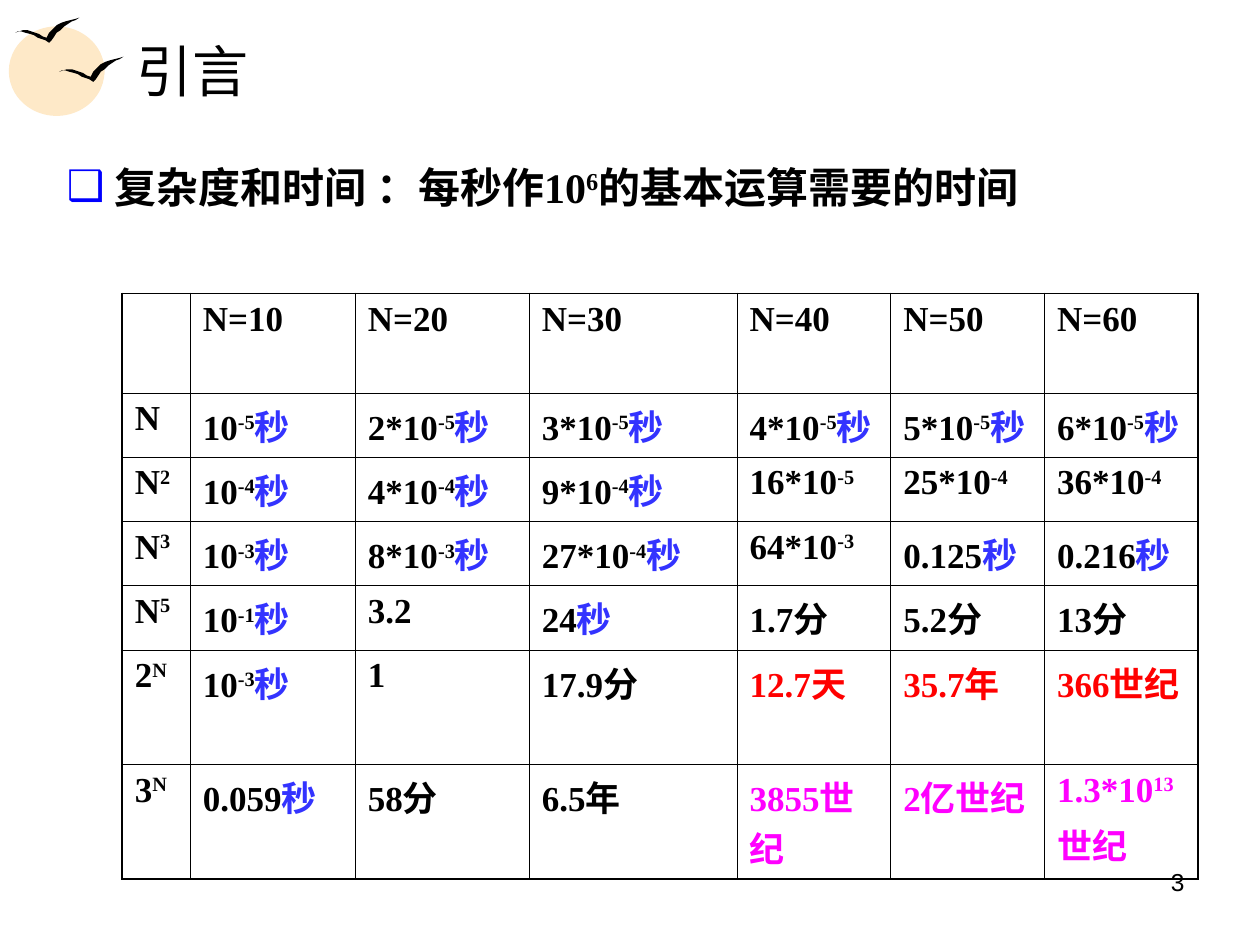
from pptx import Presentation
from pptx.dml.color import RGBColor
from pptx.enum.shapes import MSO_SHAPE
from pptx.enum.text import MSO_ANCHOR, MSO_AUTO_SIZE, PP_ALIGN
from pptx.oxml import parse_xml
from pptx.oxml.ns import nsdecls
from pptx.util import Inches, Pt

OVAL = MSO_SHAPE.OVAL
LEFT, RIGHT = PP_ALIGN.LEFT, PP_ALIGN.RIGHT
TOP, MIDDLE = MSO_ANCHOR.TOP, MSO_ANCHOR.MIDDLE
FIXED = MSO_AUTO_SIZE.NONE
COLORS = {"ink": "000000", "sun": "FEE9C8", "bullet": "0000FF",
          "second": "3333FF", "red": "FF0000", "pink": "FF00FF"}
SERIF = "Times New Roman"
HEAD = {"name": SERIF, "size": Pt(32), "bold": False}
LEAD = {"name": SERIF, "size": Pt(24), "bold": True}
CELL = {"name": SERIF, "size": Pt(20), "bold": True}
PAGE = {"name": "Arial", "size": Pt(14), "bold": False}


def write(para, text, form, color="ink"):
    """Add runs to a paragraph; text between carets is superscript."""
    for i, part in enumerate(text.split("^")):
        if not part:
            continue
        run = para.add_run()
        run.text = part
        for key, value in form.items():
            setattr(run.font, key, value)
        run.font.color.rgb = RGBColor.from_string(COLORS[color])
        if i % 2:
            run.font._element.set("baseline", "30000")


def paint(shape, color):
    shape.shadow.inherit = False
    shape.fill.solid()
    shape.fill.fore_color.rgb = RGBColor.from_string(COLORS[color])
    shape.line.fill.background()


deck = Presentation()
deck.slide_width, deck.slide_height = Inches(10), Inches(7.5)
slide = deck.slides.add_slide(deck.slide_layouts[1])
shapes = slide.shapes

# Sun with two birds
for box in [(0.07, 0.21, 0.76, 0.71), (0.2, 0.28, 0.63, 0.55)]:
    paint(shapes.add_shape(OVAL, *map(Inches, box)), "sun")

# Wing outline in hundredths of an inch
WING = [(0, 12), (3, 11), (6, 10), (10, 10), (13, 11), (16, 12), (19, 13),
        (22, 15), (25, 16), (27, 12), (30, 9), (33, 6), (37, 4), (40, 3),
        (44, 2), (48, 1), (51, 0), (48, 2), (45, 3), (42, 5), (39, 7),
        (36, 10), (33, 12), (31, 15), (29, 18), (27, 20), (24, 18),
        (21, 17), (18, 16), (15, 14), (12, 13), (8, 12), (5, 11), (2, 11)]
for x, y in [(47, 45), (12, 14)]:
    points = [(x + dx, y + dy) for dx, dy in WING]
    path = shapes.build_freeform(*points[0], scale=Inches(0.01))
    path.add_line_segments(points[1:])
    paint(path.convert_to_shape(), "ink")

# Title, lead line and page number
title, body = shapes.title, slide.placeholders[1]
page = shapes.add_textbox(0, 0, 0, 0)
for shape, box, anchor, align in [
        (title, (0.98, 0.21, 8.53, 0.69), MIDDLE, LEFT),
        (body, (0.43, 1.23, 9.06, 0.71), TOP, LEFT),
        (page, (7.17, 6.83, 2.33, 0.52), TOP, RIGHT)]:
    shape.left, shape.top, shape.width, shape.height = map(Inches, box)
    frame = shape.text_frame
    frame.word_wrap = True
    frame.auto_size = FIXED
    frame.vertical_anchor = anchor
    para = frame.paragraphs[0]
    para.alignment = align
    para.space_before = Pt(0)

lead = body.text_frame.paragraphs[0]
props = lead._p.get_or_add_pPr()
props.set("marL", str(Inches(0.38)))
props.set("indent", str(-Inches(0.38)))
for item in [f'<a:buClr {nsdecls("a")}><a:srgbClr val="{COLORS["bullet"]}"/></a:buClr>',
             f'<a:buChar {nsdecls("a")} char="❑"/>']:
    props.append(parse_xml(item))
write(title.text_frame.paragraphs[0], "引言", HEAD)
write(lead, "复杂度和时间 ：每秒作10^6^的基本运算需要的时间", LEAD)
write(page.text_frame.paragraphs[0], "3", PAGE)

# Running times by complexity and input size
ROWS = [
    ["", "N=10", "N=20", "N=30", "N=40", "N=50", "N=60"],
    ["N", "10^-5^秒", "2*10^-5^秒", "3*10^-5^秒", "4*10^-5^秒", "5*10^-5^秒", "6*10^-5^秒"],
    ["N^2", "10^-4^秒", "4*10^-4^秒", "9*10^-4^秒", "16*10^-5", "25*10^-4", "36*10^-4"],
    ["N^3", "10^-3^秒", "8*10^-3^秒", "27*10^-4^秒", "64*10^-3", "0.125秒", "0.216秒"],
    ["N^5", "10^-1^秒", "3.2", "24秒", "1.7分", "5.2分", "13分"],
    ["2^N", "10^-3^秒", "1", "17.9分", "12.7天", "35.7年", "366世纪"],
    ["3^N", "0.059秒", "58分", "6.5年", "3855世纪", "2亿世纪", "1.3*10^13^\n世纪"],
]
WIDTHS = [0.54, 1.31, 1.38, 1.65, 1.22, 1.22, 1.22]
HEIGHTS = [0.79] + [0.51] * 4 + [0.91] * 2
HUES = {5: "red", 6: "pink"}
last = len(ROWS) - 1
table = shapes.add_table(len(ROWS), len(WIDTHS), Inches(0.97), Inches(2.33),
                         Inches(sum(WIDTHS)), Inches(sum(HEIGHTS))).table
table.first_row = table.horz_banding = False
for col, width in zip(table.columns, WIDTHS):
    col.width = Inches(width)
for row, height in zip(table.rows, HEIGHTS):
    row.height = Inches(height)

for r, row in enumerate(ROWS):
    for c, text in enumerate(row):
        cell = table.cell(r, c)
        cell.fill.background()
        hue = HUES.get(r, "ink") if c > 3 else "ink"
        for i, line in enumerate(text.split("\n")):
            frame = cell.text_frame
            para = frame.add_paragraph() if i else frame.paragraphs[0]
            para.space_before = Pt(5 if i else 0)
            write(para, line.removesuffix("秒"), CELL, hue)
            if line.endswith("秒"):
                write(para, "秒", CELL, "second")
        outer = {"L": c == 0, "R": c == last, "T": r == 0, "B": r == last}
        for i, (side, edge) in enumerate(outer.items()):
            line = parse_xml(
                f'<a:ln{side} {nsdecls("a")} w="{Pt(1.08 if edge else 0.45)}"><a:solidFill>'
                f'<a:srgbClr val="{COLORS["ink"]}"/></a:solidFill></a:ln{side}>')
            cell._tc.get_or_add_tcPr().insert(i, line)

deck.save("out.pptx")
